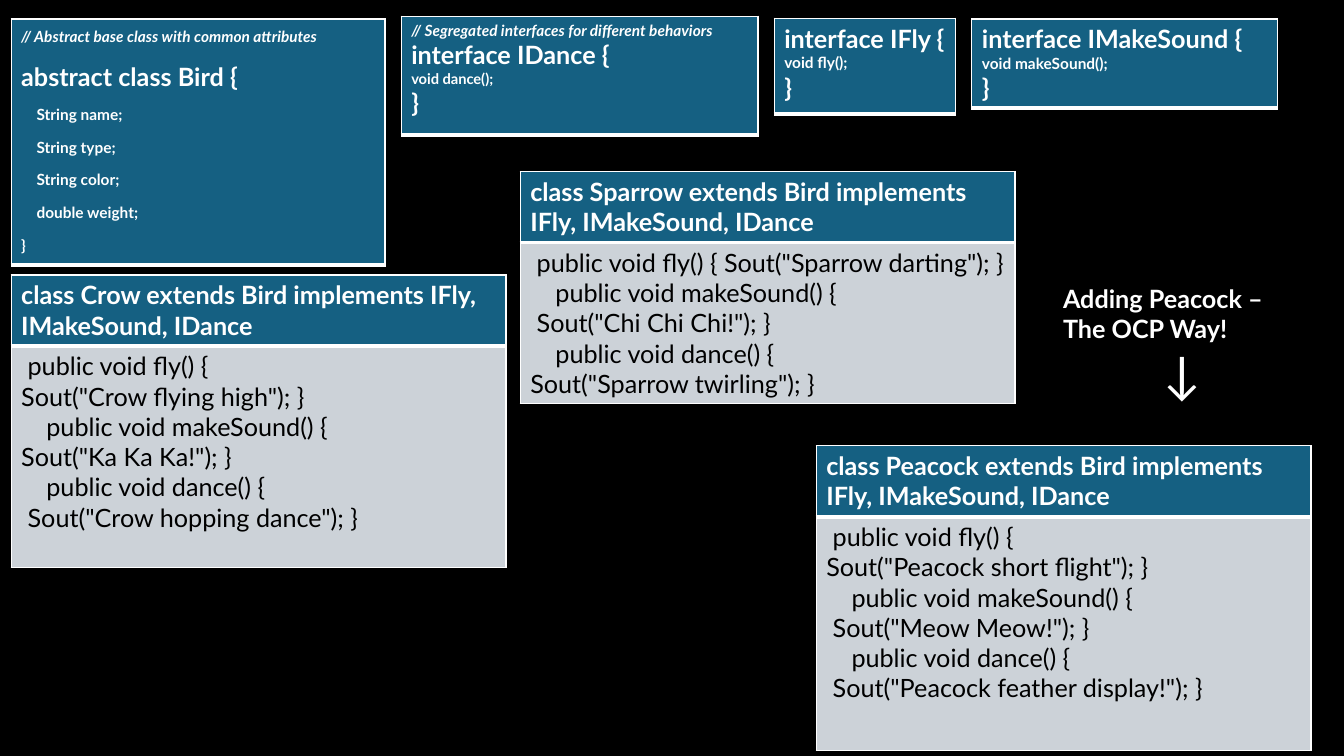
"""Build the slide on bird classes, segregated interfaces and the open-closed way."""
import pptx
import pptx.util
import pptx.dml.color
import pptx.enum.text
import pptx.oxml
import pptx.oxml.ns

Cm, Pt = pptx.util.Cm, pptx.util.Pt

FONT = "Lato"
HUES = {"back": "000000", "head": "156082", "body": "CCD2D8",
        "light": "FFFFFF", "dark": "000000"}
BIG, SMALL, TINY = 18, 11, 10.5

# left, top, width, height, line spacing, space after, lines of (text, size, indent in ems)
CARDS = [
    (0.28, 0.48, 9.42, 6.2, 1.15, 8, [
        ("// Abstract base class with common attributes", SMALL, 0),
        ("abstract class Bird {", BIG, 0),
        ("String name;", SMALL, 1),
        ("String type;", SMALL, 1),
        ("String color;", SMALL, 1),
        ("double weight;", SMALL, 1),
        ("}", SMALL, 0)]),
    (10.11, 0.41, 8.99, 3.0, 1, 0, [
        ("// Segregated interfaces for different behaviors", SMALL, 0),
        ("interface IDance {", BIG, 0),
        ("void dance();", TINY, 0),
        ("}", BIG, 0)]),
    (24.49, 0.48, 7.7, 2.24, 1, 0, [
        ("interface IMakeSound {", BIG, 0),
        ("void makeSound();", SMALL, 0),
        ("}", BIG, 0)]),
    (19.51, 0.46, 4.57, 2.41, 1, 0, [
        ("interface IFly {", BIG, 0),
        ("void fly();", SMALL, 0),
        ("}", BIG, 0)]),
]

# left, top, body height, bird, lines of (text, indent in ems)
BIRDS = [
    (0.28, 6.93, 5.59, "Crow", [
        (" public void fly() {", 0),
        ('Sout("Crow flying high"); }', 0),
        ("public void makeSound() {", 1),
        ('Sout("Ka Ka Ka!"); }', 0),
        ("public void dance() {", 1),
        (' Sout("Crow hopping dance"); }', 0)]),
    (13.11, 4.32, 4.06, "Sparrow", [
        (' public void fly() { Sout("Sparrow darting"); }', 0),
        ("public void makeSound() {", 1),
        (' Sout("Chi Chi Chi!"); }', 0),
        ("public void dance() {", 1),
        ('Sout("Sparrow twirling"); }', 0)]),
    (20.57, 11.23, 5.89, "Peacock", [
        (" public void fly() {", 0),
        ('Sout("Peacock short flight"); }', 0),
        ("public void makeSound() {", 1),
        (' Sout("Meow Meow!"); }', 0),
        ("public void dance() {", 1),
        (' Sout("Peacock feather display!"); }', 0)]),
]
BIRD_WIDTH, HEAD_HEIGHT = 12.47, 1.79

NOTE = [("Adding Peacock –", BIG, 0, True), ("The OCP Way!", BIG, 0, True),
        ("↓", 36, 2, False)]


def color(name):
    return pptx.dml.color.RGBColor.from_string(HUES[name])


def write(frame, lines, hue, gap=1, after=0):
    """Fill a text frame with lines of (text, size, indent, bold)."""
    for i, (text, size, ems, bold) in enumerate(lines):
        para = frame.paragraphs[0] if i == 0 else frame.add_paragraph()
        para.text = text
        para.line_spacing = gap
        para.space_after = Pt(after)
        font = para.font
        font.name, font.size, font.bold = FONT, Pt(size), bold
        font.italic = text.startswith("//")
        font.color.rgb = color(hue)
        if ems:
            para._p.get_or_add_pPr().set("marL", str(Pt(size * ems)))


def edge(cell, widths):
    """Draw the left, right, top and bottom borders of a cell."""
    props = cell._tc.get_or_add_tcPr()
    for side, width in zip("LRTB", widths):
        props.append(pptx.oxml.parse_xml(
            f'<a:ln{side} {pptx.oxml.ns.nsdecls("a")} w="{Pt(width)}"><a:solidFill>'
            f'<a:srgbClr val="{HUES["light"]}"/></a:solidFill></a:ln{side}>'))


def table(slide, left, top, width, rows, gap=1, after=0):
    """Add a one-column table from rows of (height, lines)."""
    total = sum(height for height, lines in rows)
    grid = slide.shapes.add_table(
        len(rows), 1, Cm(left), Cm(top), Cm(width), Cm(total)).table
    looks = [("head", "light", (1, 1, 1, 3)), ("body", "dark", (1, 1, 3, 1))]
    for i, ((height, lines), (fill, ink, widths)) in enumerate(zip(rows, looks)):
        grid.rows[i].height = Cm(height)
        cell = grid.cell(i, 0)
        edge(cell, widths)
        cell.fill.solid()
        cell.fill.fore_color.rgb = color(fill)
        write(cell.text_frame, lines, ink, gap, after)


def main():
    deck = pptx.Presentation()
    deck.slide_width, deck.slide_height = Cm(33.87), Cm(19.05)
    slide = deck.slides.add_slide(deck.slide_layouts[6])
    slide.background.fill.solid()
    slide.background.fill.fore_color.rgb = color("back")

    for left, top, width, height, gap, after, lines in CARDS:
        bold = [(*line, True) for line in lines]
        table(slide, left, top, width, [(height, bold)], gap, after)

    for left, top, height, bird, lines in BIRDS:
        title = f"class {bird} extends Bird implements IFly, IMakeSound, IDance"
        body = [(text, BIG, ems, False) for text, ems in lines]
        table(slide, left, top, BIRD_WIDTH,
              [(HEAD_HEIGHT, [(title, BIG, 0, True)]), (height, body)])

    frame = slide.shapes.add_textbox(Cm(26.54), Cm(7.01), Cm(5.69), Cm(4.11)).text_frame
    frame.word_wrap = False
    frame.auto_size = pptx.enum.text.MSO_AUTO_SIZE.SHAPE_TO_FIT_TEXT
    write(frame, NOTE, "light")
    deck.save("out.pptx")


if __name__ == "__main__":
    main()
